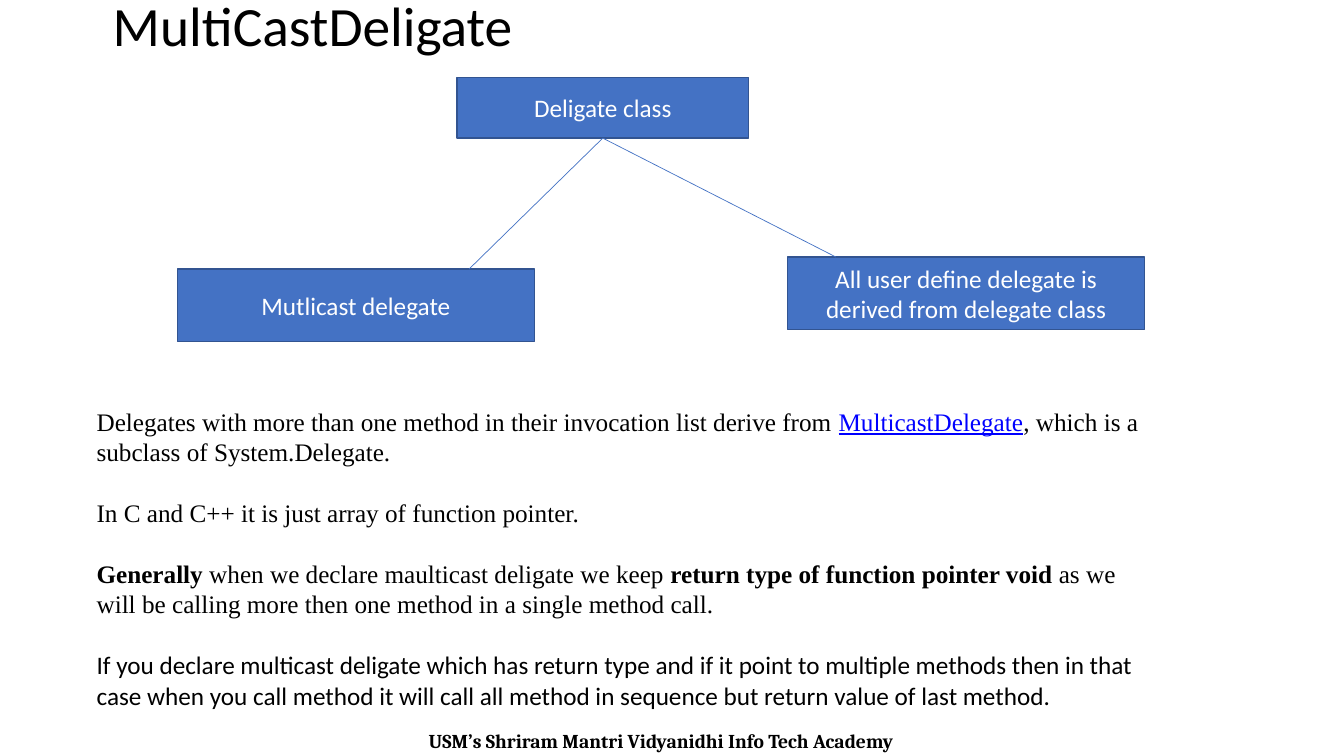
import pptx
import pptx.dml.color
import pptx.enum.shapes
import pptx.enum.text
import pptx.oxml.ns
import pptx.util
from lxml import etree

BLACK = pptx.dml.color.RGBColor(0x00, 0x00, 0x00)
WHITE = pptx.dml.color.RGBColor(0xFF, 0xFF, 0xFF)
BLUE = pptx.dml.color.RGBColor(0x44, 0x72, 0xC4)
DARK_BLUE = pptx.dml.color.RGBColor(0x32, 0x54, 0x91)
LINK_BLUE = pptx.dml.color.RGBColor(0x00, 0x00, 0xFF)
CENTER = pptx.enum.text.PP_ALIGN.CENTER
MIDDLE = pptx.enum.text.MSO_ANCHOR.MIDDLE

deck = pptx.Presentation()
deck.slide_width = pptx.util.Inches(13.33)
deck.slide_height = pptx.util.Inches(7.5)
page = deck.slides.add_slide(deck.slide_layouts[6])


def grid(*percents):
    """Turn alternating shares of slide width and height, in percent, into lengths."""
    sides = (deck.slide_width, deck.slide_height)
    return [int(sides[i % 2] * share / 100) for i, share in enumerate(percents)]


def add_span(para, text, size=18, font="Calibri", color=BLACK, bold=False, underline=False):
    span = para.add_run()
    span.text = text
    span.font.size = pptx.util.Pt(size)
    span.font.name = font
    span.font.color.rgb = color
    span.font.bold = bold
    span.font.underline = underline


# Footer and title
footer = page.shapes.add_textbox(*grid(0, 95.73, 98.4, 4.27)).text_frame
footer.word_wrap = True
footer.paragraphs[0].alignment = CENTER
add_span(footer.paragraphs[0], "USM’s Shriram Mantri Vidyanidhi Info Tech Academy",
         size=14, font="Cambria", bold=True)

title = page.shapes.add_textbox(*grid(7.65, 0.53, 87, 6.4)).text_frame
title.word_wrap = True
title.vertical_anchor = MIDDLE
title.paragraphs[0].line_spacing = 0.9
add_span(title.paragraphs[0], "MultiCastDeligate", size=39.6)

# Explanation
TIMES = {"font": "Times New Roman"}
TIMES_BOLD = {**TIMES, "bold": True}
explanation = [
    [("Delegates with more than one method in their invocation list derive from ", TIMES),
     ("MulticastDelegate", {**TIMES, "color": LINK_BLUE, "underline": True}),
     (", which is a subclass of System.Delegate.", TIMES)],
    [("In C and C++ it is just array of function pointer.", TIMES)],
    [("Generally", TIMES_BOLD),
     (" when we declare maulticast deligate we keep ", TIMES),
     ("return type of function pointer void ", TIMES_BOLD),
     ("as we will be calling more then one method in a single method call.", TIMES)],
    [("If you declare multicast deligate which has return type and if it point to multiple "
      "methods then in that case when you call method it will call all method in sequence "
      "but return value of last method.", {})],
]
body = page.shapes.add_textbox(*grid(6.45, 53.07, 79.45, 41.73)).text_frame
body.word_wrap = True
for index, spans in enumerate(explanation):
    para = body.add_paragraph() if index else body.paragraphs[0]
    if index:
        para.space_before = pptx.util.Pt(22)
    for text, style in spans:
        add_span(para, text, **style)

# Class tree: the base class comes first
classes = [
    ("Deligate class", (34, 10.27, 21.7, 8)),
    ("All user define delegate is derived from delegate class", (58.6, 34, 26.56, 9.6)),
    ("Mutlicast delegate", (13.2, 35.6, 26.56, 9.6)),
]
boxes = []
for text, place in classes:
    box = page.shapes.add_shape(pptx.enum.shapes.MSO_SHAPE.RECTANGLE, *grid(*place))
    box.shadow.inherit = False
    box.fill.solid()
    box.fill.fore_color.rgb = BLUE
    box.line.color.rgb = DARK_BLUE
    box.line.width = pptx.util.Pt(1)
    box.text_frame.word_wrap = True
    box.text_frame.vertical_anchor = MIDDLE
    para = box.text_frame.paragraphs[0]
    para.alignment = CENTER
    add_span(para, text, color=WHITE)
    boxes.append(box)

base, *derived = boxes
for box, end_share in zip(derived, (62.2, 34.9)):
    link = page.shapes.add_connector(
        pptx.enum.shapes.MSO_CONNECTOR.STRAIGHT,
        base.left + base.width // 2, base.top + base.height,
        grid(end_share)[0], box.top)
    link.begin_connect(base, 2)
    link.line.color.rgb = BLUE
    link.line.width = pptx.util.Pt(0.5)
    etree.SubElement(link._element.spPr, pptx.oxml.ns.qn("a:effectLst"))

deck.save("out.pptx")
